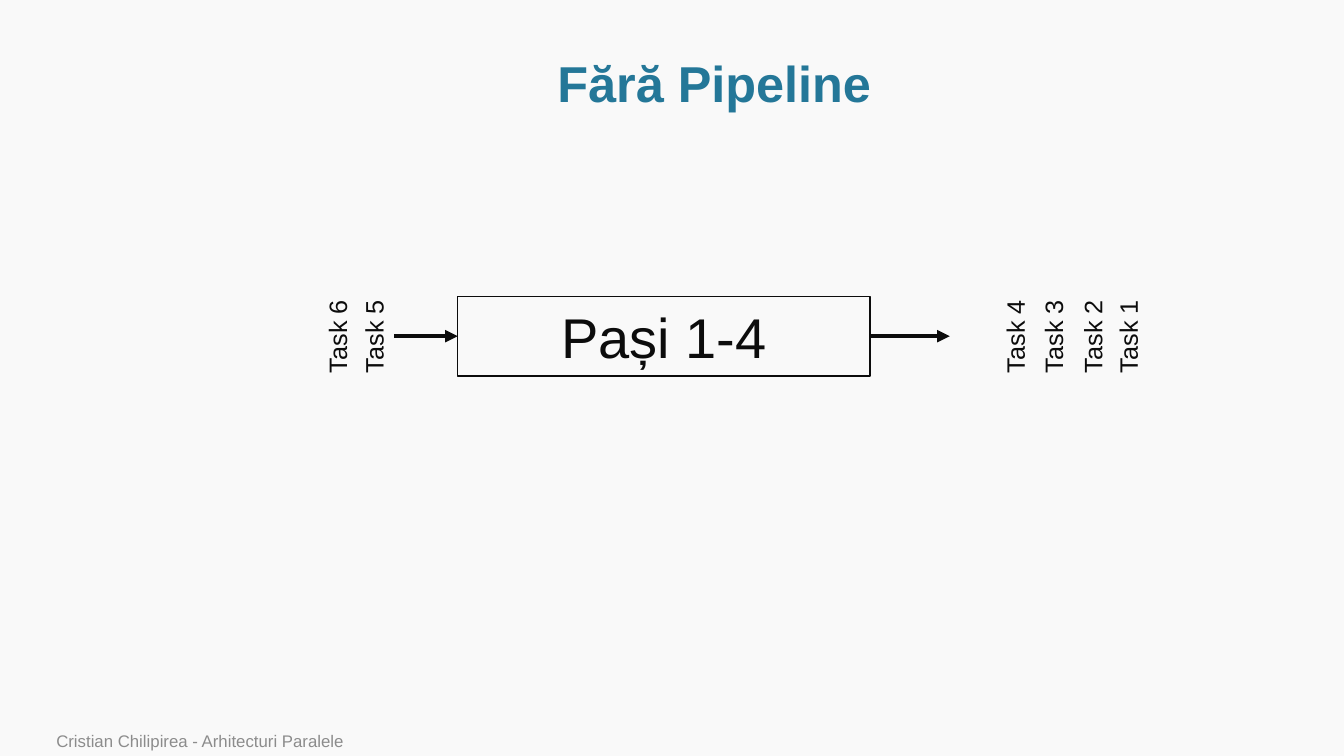
from lxml.etree import SubElement
from pptx import Presentation
from pptx.dml.color import RGBColor
from pptx.enum.shapes import MSO_CONNECTOR, MSO_SHAPE
from pptx.enum.text import MSO_ANCHOR, MSO_AUTO_SIZE, PP_ALIGN
from pptx.oxml.ns import qn
from pptx.util import Inches, Pt

PAPER = RGBColor(0xF9, 0xF9, 0xF9)
BLUE = RGBColor(0x24, 0x77, 0x98)
INK = RGBColor(0x0C, 0x0C, 0x0C)
GREY = RGBColor(0x8C, 0x8C, 0x8C)

WIDTH, HEIGHT = Inches(13.33), Inches(7.5)

# Positions are percentages of the slide's width and height
FLOW_Y = 44.47
STAGE_X, STAGE_W, STAGE_H = 34.06, 30.68, 10.53
STAGE_END = STAGE_X + STAGE_W
TASK_W, TASK_H = 6.98, 5.33
TASK_CENTRES = {1: 83.91, 2: 81.28, 3: 78.36, 4: 75.51, 5: 27.79, 6: 25.09}


def across(share):
    return round(WIDTH * share / 100)


def down(share):
    return round(HEIGHT * share / 100)


def area(x, y, w, h):
    return across(x), down(y), across(w), down(h)


def write(shape, text, size, color, align=PP_ALIGN.LEFT, bold=False, **frame):
    tf = shape.text_frame
    for name, value in frame.items():
        setattr(tf, name, value)
    p = tf.paragraphs[0]
    p.alignment = align
    r = p.add_run()
    r.text = text
    for name, value in dict(name="Arial", size=Pt(size), bold=bold).items():
        setattr(r.font, name, value)
    r.font.color.rgb = color
    return p


def add_title(s, text):
    title = s.shapes.title
    title.left, title.top, title.width, title.height = area(8.55, 6.8, 89.2, 9.2)
    p = write(title, text, 36, BLUE, PP_ALIGN.CENTER, True, word_wrap=True,
              auto_size=MSO_AUTO_SIZE.NONE, vertical_anchor=MSO_ANCHOR.MIDDLE)
    p.line_spacing = 0.9


def add_stage(s, text):
    box = s.shapes.add_shape(
        MSO_SHAPE.RECTANGLE,
        *area(STAGE_X, FLOW_Y - STAGE_H / 2, STAGE_W, STAGE_H))
    box.shadow.inherit = False
    box.fill.background()
    box.line.color.rgb = INK
    box.line.width = Pt(1)
    write(box, text, 40, INK, PP_ALIGN.CENTER,
          vertical_anchor=MSO_ANCHOR.MIDDLE)


def add_arrow(s, start, end):
    arrow = s.shapes.add_connector(MSO_CONNECTOR.STRAIGHT, across(start),
                                   down(FLOW_Y), across(end), down(FLOW_Y))
    arrow.line.color.rgb = INK
    arrow.line.width = Pt(3)
    SubElement(arrow.line._get_or_add_ln(), qn("a:tailEnd"), type="triangle")
    SubElement(arrow._element.spPr, qn("a:effectLst"))


def add_task(s, number, centre):
    task = s.shapes.add_textbox(
        *area(centre - TASK_W / 2, FLOW_Y - TASK_H / 2, TASK_W, TASK_H))
    task.rotation = 270
    write(task, f"Task {number}", 18, INK, word_wrap=False,
          auto_size=MSO_AUTO_SIZE.SHAPE_TO_FIT_TEXT)


def add_footer(s, text):
    footer = s.shapes.add_textbox(*area(3.45, 96.27, 73.67, 3.73))
    write(footer, text, 12, GREY, word_wrap=True,
          vertical_anchor=MSO_ANCHOR.BOTTOM)


def main():
    prs = Presentation()
    prs.slide_width, prs.slide_height = WIDTH, HEIGHT
    s = prs.slides.add_slide(prs.slide_layouts[5])
    s.background.fill.solid()
    s.background.fill.fore_color.rgb = PAPER

    add_title(s, "Fără Pipeline")

    # Single processing stage with its input and output
    add_stage(s, "Pași 1-4")
    add_arrow(s, 29.33, STAGE_X)
    add_arrow(s, STAGE_END, 70.67)

    # Finished tasks on the right, waiting tasks on the left
    for number, centre in TASK_CENTRES.items():
        add_task(s, number, centre)

    add_footer(s, "Cristian Chilipirea - Arhitecturi Paralele")
    prs.save("out.pptx")


if __name__ == "__main__":
    main()
